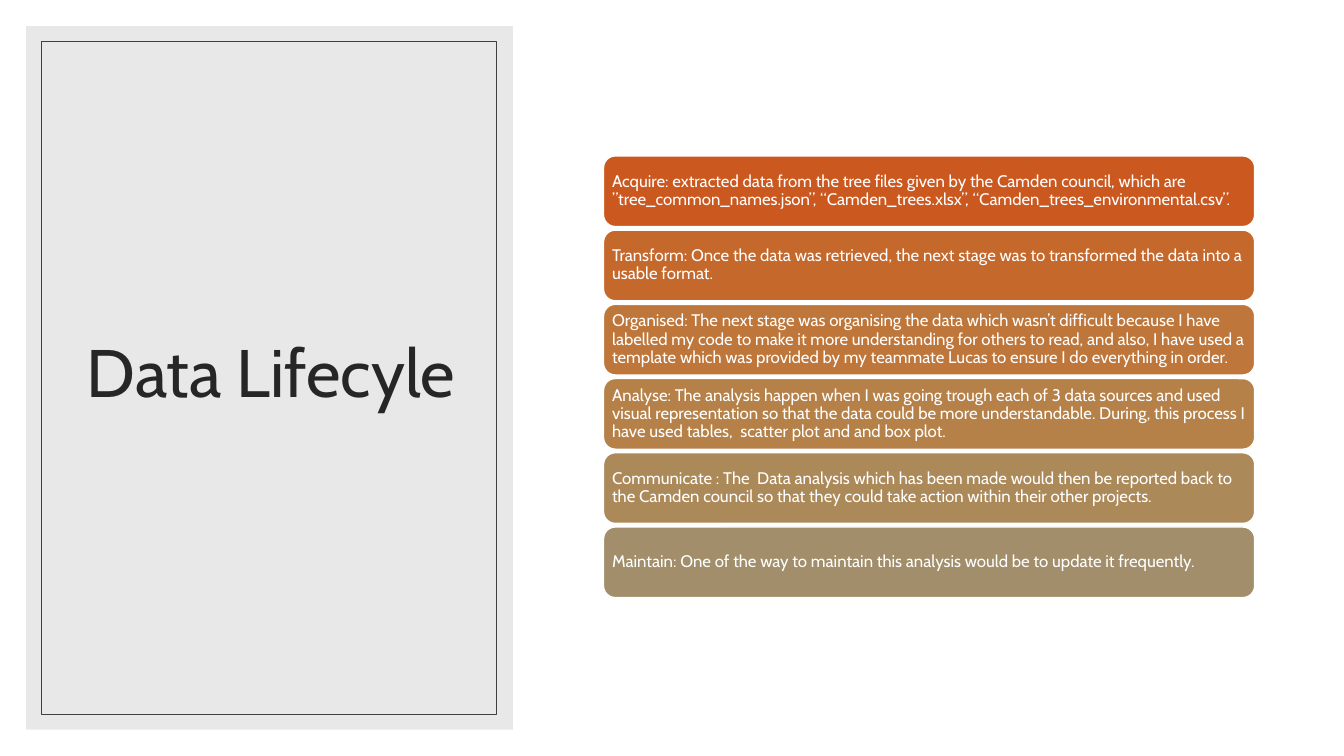
"""Build the data lifecycle slide: a framed title panel beside six stacked stages."""
from lxml import etree
from pptx import Presentation
from pptx.dml.color import RGBColor
from pptx.enum.shapes import MSO_SHAPE
from pptx.enum.text import MSO_ANCHOR, MSO_AUTO_SIZE, PP_ALIGN
from pptx.oxml.ns import qn
from pptx.util import Cm, Pt

RECTANGLE = MSO_SHAPE.RECTANGLE
ROUNDED = MSO_SHAPE.ROUNDED_RECTANGLE
MIDDLE = MSO_ANCHOR.MIDDLE
LEFT, CENTER = PP_ALIGN.LEFT, PP_ALIGN.CENTER
NO_FIT = MSO_AUTO_SIZE.NONE

WHITE = RGBColor(0xFF, 0xFF, 0xFF)
PANEL_GREY = RGBColor(0xD9, 0xD9, 0xD9)
FRAME_GREY = RGBColor(0x40, 0x40, 0x40)
TITLE_GREY = RGBColor(0x26, 0x26, 0x26)
FONT = "Cabin"

TITLE = "Data Lifecyle"
STAGES = [
    ("Acquire: extracted data from the tree files given by the Camden council, which are "
     "”tree_common_names.json”, “Camden_trees.xlsx”, “Camden_trees_environmental.csv”.",
     RGBColor(0xCB, 0x58, 0x1F)),
    ("Transform: Once the data was retrieved, the next stage was to transformed the data "
     "into a usable format.",
     RGBColor(0xC5, 0x68, 0x2C)),
    ("Organised: The next stage was organising the data which wasn’t difficult because I "
     "have labelled my code to make it more understanding for others to read, and also, I "
     "have used a template which was provided by my teammate Lucas to ensure I do "
     "everything in order.",
     RGBColor(0xBE, 0x76, 0x3A)),
    ("Analyse: The analysis happen when I was going trough each of 3 data sources and used "
     "visual representation so that the data could be more understandable. During, this "
     "process I have used tables,  scatter plot and and box plot.",
     RGBColor(0xB6, 0x81, 0x48)),
    ("Communicate : The  Data analysis which has been made would then be reported back to "
     "the Camden council so that they could take action within their other projects.",
     RGBColor(0xAC, 0x89, 0x59)),
    ("Maintain: One of the way to maintain this analysis would be to update it frequently.",
     RGBColor(0xA2, 0x8E, 0x6A)),
]

STAGE_LEFT, STAGE_TOP = 15.21, 3.93
STAGE_WIDTH, STAGE_HEIGHT, STAGE_GAP = 16.41, 1.78, 0.09
STAGE_MARGIN = Cm(0.13)


def add_block(page, kind, left, top, width, height, fill=None, line=None, line_width=0):
    """Add a flat shape, measured in centimetres."""
    block = page.shapes.add_shape(kind, Cm(left), Cm(top), Cm(width), Cm(height))
    block.shadow.inherit = False
    if fill is None:
        block.fill.background()
    else:
        block.fill.solid()
        block.fill.fore_color.rgb = fill
    if line is None:
        block.line.fill.background()
    else:
        block.line.color.rgb = line
        block.line.width = Pt(line_width)
    return block


def write(box, text, size, color, alignment):
    """Set one vertically centred paragraph in a shape."""
    frame = box.text_frame
    frame.text = text
    frame.word_wrap = True
    frame.auto_size = NO_FIT
    frame.vertical_anchor = MIDDLE
    para = frame.paragraphs[0]
    para.alignment = alignment
    para.line_spacing = 0.9
    para.font.name = FONT
    para.font.size = Pt(size)
    para.font.color.rgb = color


def add_title_panel(page):
    """Place the translucent panel, the title and the thin frame."""
    panel = add_block(page, RECTANGLE, 0.66, 0.66, 12.27, 17.73, fill=PANEL_GREY)
    color = panel.element.spPr.find(qn("a:solidFill"))[0]
    etree.SubElement(color, qn("a:alpha")).set("val", "60000")

    title = page.shapes.title
    title.left, title.top, title.width, title.height = Cm(1.6), Cm(1.55), Cm(10.46), Cm(15.85)
    write(title, TITLE, 48, TITLE_GREY, CENTER)
    panel.element.addnext(title.element)

    add_block(page, RECTANGLE, 1.04, 1.04, 11.46, 16.97, line=FRAME_GREY, line_width=0.5)


def add_stages(page):
    """Stack the stage cards at equal gaps."""
    for index, (text, color) in enumerate(STAGES):
        top = STAGE_TOP + index * (STAGE_HEIGHT + STAGE_GAP)
        card = add_block(page, ROUNDED, STAGE_LEFT, top, STAGE_WIDTH, STAGE_HEIGHT,
                         fill=color, line=WHITE, line_width=1)
        frame = card.text_frame
        frame.margin_left = frame.margin_right = STAGE_MARGIN
        frame.margin_top = frame.margin_bottom = STAGE_MARGIN
        write(card, text, 12, WHITE, LEFT)


def main():
    """Build and save the deck."""
    deck = Presentation()
    deck.slide_width, deck.slide_height = Cm(33.87), Cm(19.05)
    page = deck.slides.add_slide(deck.slide_layouts.get_by_name("Title Only"))
    add_title_panel(page)
    add_stages(page)
    deck.save("out.pptx")


if __name__ == "__main__":
    main()
